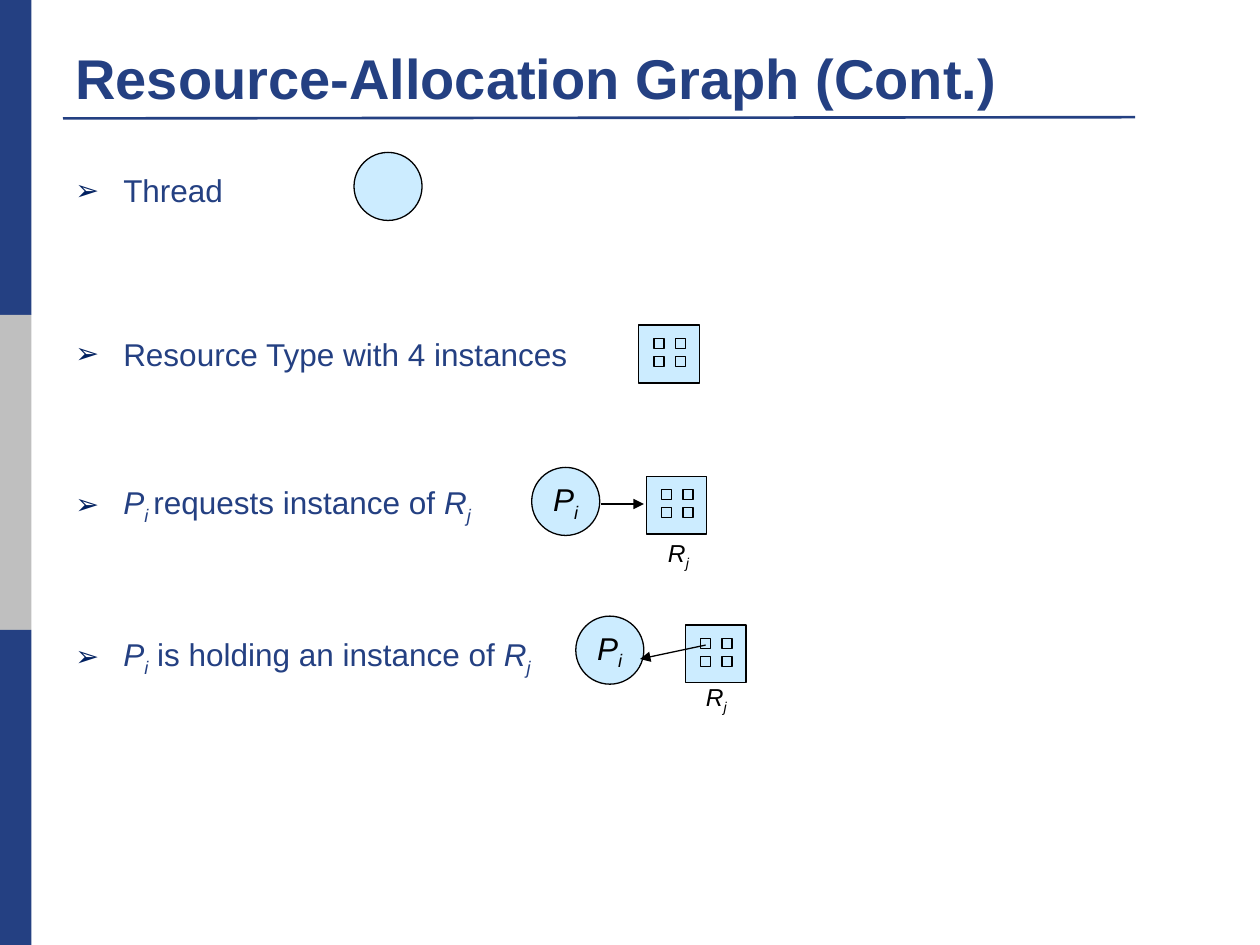
from lxml.etree import SubElement
from pptx import Presentation
from pptx.dml.color import RGBColor
from pptx.enum.shapes import MSO_CONNECTOR, MSO_SHAPE
from pptx.enum.text import MSO_ANCHOR, PP_ALIGN
from pptx.oxml.ns import qn
from pptx.util import Inches, Pt

# Grid of 40 columns by 30 rows; every position and size is in cells
COLS, ROWS = 40, 30
CELL = Inches(10) // COLS
NAVY, GREY, PALE, BLACK = "244082", "BFBFBF", "CCECFF", "000000"
BULLET = "002060"
CIRCLE, BOX_W, BOX_H = 2.16, 1.92, 1.84
THREAD, RESOURCE = [("P", "i"), ("i", "is")], [("R", "i"), ("j", "is")]


def grid(*cells):
    return [round(c * CELL) for c in cells]


def color(hex_value):
    return RGBColor.from_string(hex_value)


def set_attrs(obj, values):
    for name, value in values.items():
        setattr(obj, name, value)


def add_runs(p, runs, size, hex_value, bold=False):
    """Each run is (text, flags): i for italic, s for subscript."""
    for text, flags in runs:
        r = p.add_run()
        r.text = text
        set_attrs(r.font, {"name": "Arial", "size": Pt(size),
                           "bold": bold, "italic": "i" in flags})
        r.font.color.rgb = color(hex_value)
        if "s" in flags:
            r._r.get_or_add_rPr().set("baseline", "-25000")


def add_bullet(p):
    pPr = p._p.get_or_add_pPr()
    indent = Inches(0.38)
    pPr.set("marL", str(indent))
    pPr.set("indent", str(-indent))
    clr = SubElement(pPr, qn("a:buClr"))
    SubElement(clr, qn("a:srgbClr"), val=BULLET)
    SubElement(pPr, qn("a:buSzPct"), val="90000")
    SubElement(pPr, qn("a:buFont"), typeface="Arial")
    SubElement(pPr, qn("a:buChar"), char="➢")


def add_text(s, x, y, w, h, **frame):
    tf = s.shapes.add_textbox(*grid(x, y, w, h)).text_frame
    set_attrs(tf, {"word_wrap": True, **frame})
    return tf


def add_shape(shapes, kind, x, y, w, h, fill, line=None):
    sp = shapes.add_shape(kind, *grid(x, y, w, h))
    sp.shadow.inherit = False
    sp.fill.solid()
    sp.fill.fore_color.rgb = color(fill)
    if line:
        sp.line.color.rgb = color(line)
        sp.line.width = Pt(0.75)
    else:
        sp.line.fill.background()
    return sp


def add_line(s, start, end, hex_value, width, arrow=False):
    c = s.shapes.add_connector(MSO_CONNECTOR.STRAIGHT, *grid(*start, *end))
    c.line.color.rgb = color(hex_value)
    c.line.width = Pt(width)
    if arrow:
        SubElement(c.line._get_or_add_ln(), qn("a:tailEnd"), type="triangle")
    SubElement(c._element.spPr, qn("a:effectLst"))


def add_thread(s, x, y, runs=()):
    sp = add_shape(s.shapes, MSO_SHAPE.OVAL, x, y, CIRCLE, CIRCLE, PALE, BLACK)
    tf = sp.text_frame
    set_attrs(tf, {"word_wrap": False, "vertical_anchor": MSO_ANCHOR.MIDDLE})
    tf.paragraphs[0].alignment = PP_ALIGN.CENTER
    add_runs(tf.paragraphs[0], runs, 18, BLACK)


def add_resource(s, x, y):
    """A resource type holding a two by two block of instances."""
    group = s.shapes.add_group_shape()
    add_shape(group.shapes, MSO_SHAPE.RECTANGLE, x, y, BOX_W, BOX_H, PALE, BLACK)
    for row in range(2):
        for col in range(2):
            add_shape(group.shapes, MSO_SHAPE.RECTANGLE, x + 0.48 + 0.68 * col,
                      y + 0.42 + 0.58 * row, 0.32, 0.32, PALE, BLACK)


def add_resource_label(s, x, y):
    tf = add_text(s, x, y, 1.48, 1.32, word_wrap=False,
                  vertical_anchor=MSO_ANCHOR.MIDDLE)
    p = tf.paragraphs[0]
    set_attrs(p, {"alignment": PP_ALIGN.CENTER, "space_before": Pt(7)})
    add_runs(p, RESOURCE, 14, BLACK)


def add_frame(s):
    for i, fill in enumerate((NAVY, GREY, NAVY)):
        add_shape(s.shapes, MSO_SHAPE.RECTANGLE, 0, i * ROWS / 3, 1, ROWS / 3, fill)
    add_line(s, (2, 3.76), (36.04, 3.72), NAVY, 1.5)
    tf = add_text(s, 2, 1.2, 34.04, 2.52, vertical_anchor=MSO_ANCHOR.BOTTOM)
    add_runs(tf.paragraphs[0], [("Resource-Allocation Graph (Cont.)", "")],
             32, NAVY, bold=True)


def add_legend(s):
    entries = [
        (0, [("Thread", "")]),
        (72, [("Resource Type with 4 instances", "")]),
        (63, [("P", "i"), ("i ", "is"), ("requests instance of ", "")] + RESOURCE),
        (62, THREAD + [(" is holding an instance of ", "")] + RESOURCE),
    ]
    tf = add_text(s, 2, 5.16, 34.04, 21.68, margin_top=Inches(0.07))
    for i, (gap, runs) in enumerate(entries):
        p = tf.add_paragraph() if i else tf.paragraphs[0]
        p.space_before = Pt(gap)
        add_bullet(p)
        add_runs(p, runs, 18, NAVY)


def main():
    prs = Presentation()
    set_attrs(prs, {"slide_width": COLS * CELL, "slide_height": ROWS * CELL})
    s = prs.slides.add_slide(prs.slide_layouts[6])

    # Sidebar, title and list
    add_frame(s)
    add_legend(s)

    # Symbols for a thread and a resource type
    add_thread(s, 11.24, 4.84)
    add_resource(s, 20.28, 10.32)

    # Request: thread points to the resource type
    add_thread(s, 16.88, 14.84, THREAD)
    add_resource(s, 20.52, 15.12)
    add_line(s, (19.08, 16), (20.44, 16), BLACK, 0.75, arrow=True)
    add_resource_label(s, 20.8, 16.96)

    # Assignment: one instance points to the thread
    add_thread(s, 18.28, 19.56, THREAD)
    add_resource(s, 21.76, 19.84)
    add_line(s, (22.4, 20.48), (20.32, 20.92), BLACK, 0.75, arrow=True)
    add_resource_label(s, 22, 21.52)

    prs.save("out.pptx")


if __name__ == "__main__":
    main()
